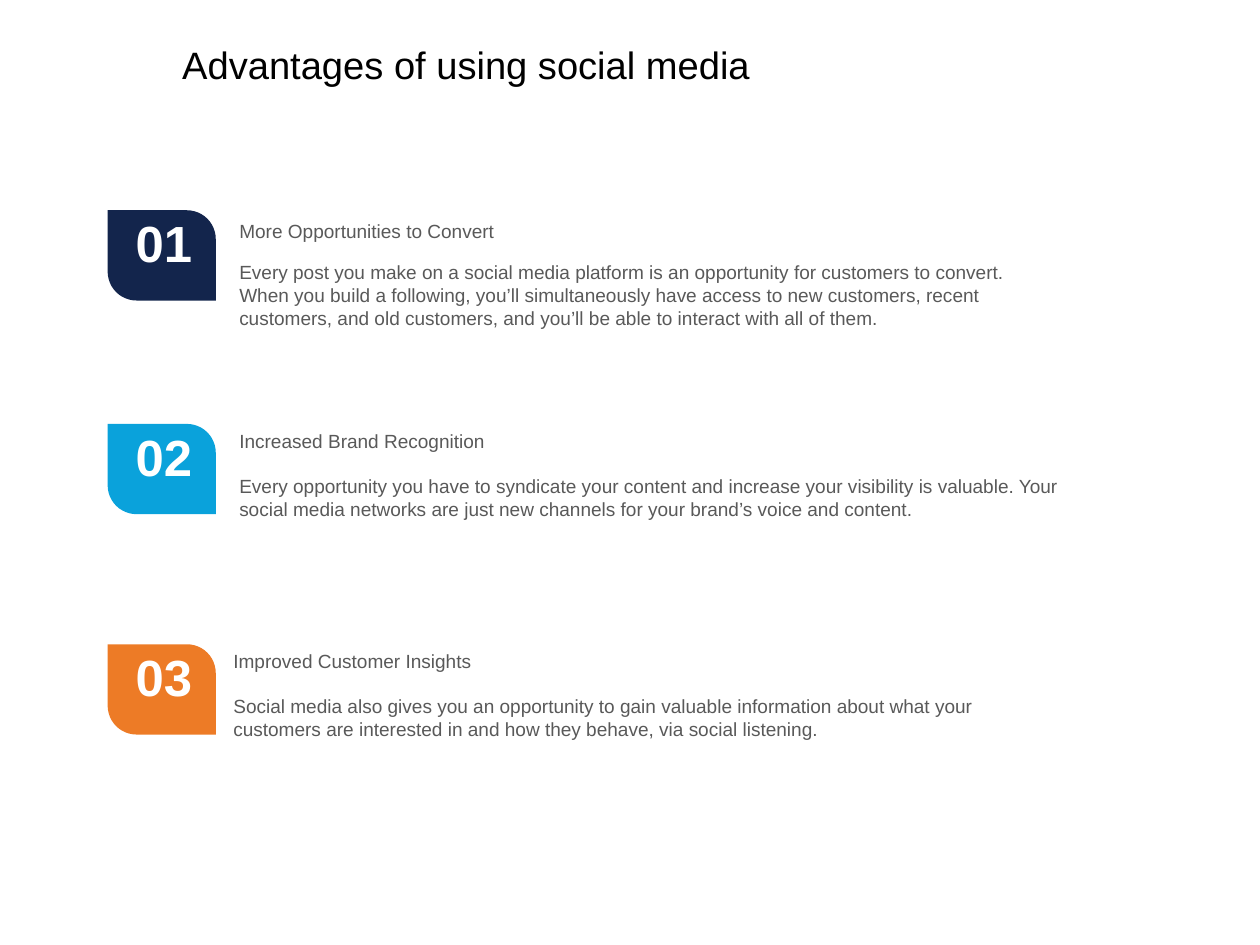
from dataclasses import dataclass

from pptx import Presentation
from pptx.dml.color import RGBColor
from pptx.enum.shapes import MSO_SHAPE
from pptx.enum.text import MSO_ANCHOR, PP_ALIGN
from pptx.util import Cm, Pt

BADGE_SHAPE = MSO_SHAPE.ROUND_2_DIAG_RECTANGLE
TOP = MSO_ANCHOR.TOP
LEFT = PP_ALIGN.LEFT
SLIDE_WIDTH, SLIDE_HEIGHT = Cm(28), Cm(21)
BLANK_LAYOUT = 6


@dataclass(frozen=True)
class Theme:
    """Colours and type sizes of the slide."""
    font: str = "Arial"
    title_color: str = "000000"
    body_color: str = "595959"
    number_color: str = "FFFFFF"
    title_size: int = 24
    body_size: int = 12
    number_size: int = 32
    badge_colors: tuple = ("13254C", "0AA2DB", "ED7B26")


@dataclass(frozen=True)
class Advantage:
    """One numbered entry, with lengths in percent of the slide."""
    heading: str
    body: str
    top: float
    text_left: float
    body_width: float
    heading_drop: float = 0


THEME = Theme()
ADVANTAGES = (
    Advantage(
        "More Opportunities to Convert",
        "Every post you make on a social media platform is an opportunity for "
        "customers to convert. When you build a following, you’ll simultaneously "
        "have access to new customers, recent customers, and old customers, and "
        "you’ll be able to interact with all of them.",
        top=22.25, text_left=18.1, body_width=66.42, heading_drop=0.36),
    Advantage(
        "Increased Brand Recognition",
        "Every opportunity you have to syndicate your content and increase your "
        "visibility is valuable. Your social media networks are just new channels "
        "for your brand’s voice and content.",
        top=44.86, text_left=18.1, body_width=68.33),
    Advantage(
        "Improved Customer Insights",
        "Social media also gives you an opportunity to gain valuable information "
        "about what your customers are interested in and how they behave, via "
        "social listening.",
        top=68.18, text_left=17.63, body_width=63.7),
)


def place(left, top, width, height):
    """Turn percentages of the slide into lengths."""
    return (int(SLIDE_WIDTH * left / 100), int(SLIDE_HEIGHT * top / 100),
            int(SLIDE_WIDTH * width / 100), int(SLIDE_HEIGHT * height / 100))


def add_text(page, area, text, size, color, bold=False):
    """Add a left-aligned text box with one paragraph."""
    box = page.shapes.add_textbox(*place(*area))
    frame = box.text_frame
    frame.word_wrap = True
    frame.vertical_anchor = TOP
    para = frame.paragraphs[0]
    para.text = text
    para.alignment = LEFT
    para.font.name = THEME.font
    para.font.size = Pt(size)
    para.font.bold = bold
    para.font.color.rgb = RGBColor.from_string(color)


def add_badge(page, number, top, color):
    """Add a coloured badge with its two-digit number."""
    badge = page.shapes.add_shape(BADGE_SHAPE, *place(8.55, top, 8.58, 9.55))
    badge.adjustments[0] = 0
    badge.adjustments[1] = 0.32
    badge.shadow.inherit = False
    badge.fill.solid()
    badge.fill.fore_color.rgb = RGBColor.from_string(color)
    badge.line.fill.background()
    add_text(page, (9.88, top - 0.4, 6.4, 7.62), f"{number:02}",
             THEME.number_size, THEME.number_color, bold=True)


def add_advantage(page, number, advantage, color):
    """Add a badge with its heading and explanation."""
    add_badge(page, number, advantage.top, color)
    heading_area = (advantage.text_left, advantage.top + advantage.heading_drop,
                    36.66, 4.35)
    body_area = (advantage.text_left, advantage.top + 4.72,
                 advantage.body_width, 6.05)
    for area, text in ((heading_area, advantage.heading),
                       (body_area, advantage.body)):
        add_text(page, area, text, THEME.body_size, THEME.body_color)


def main():
    """Build and save the slide."""
    deck = Presentation()
    deck.slide_width, deck.slide_height = SLIDE_WIDTH, SLIDE_HEIGHT
    page = deck.slides.add_slide(deck.slide_layouts[BLANK_LAYOUT])
    add_text(page, (13.57, 3.75, 72.87, 10.4), "Advantages of using social media",
             THEME.title_size, THEME.title_color)
    entries = zip(ADVANTAGES, THEME.badge_colors)
    for number, (advantage, color) in enumerate(entries, start=1):
        add_advantage(page, number, advantage, color)
    deck.save("out.pptx")


if __name__ == "__main__":
    main()
